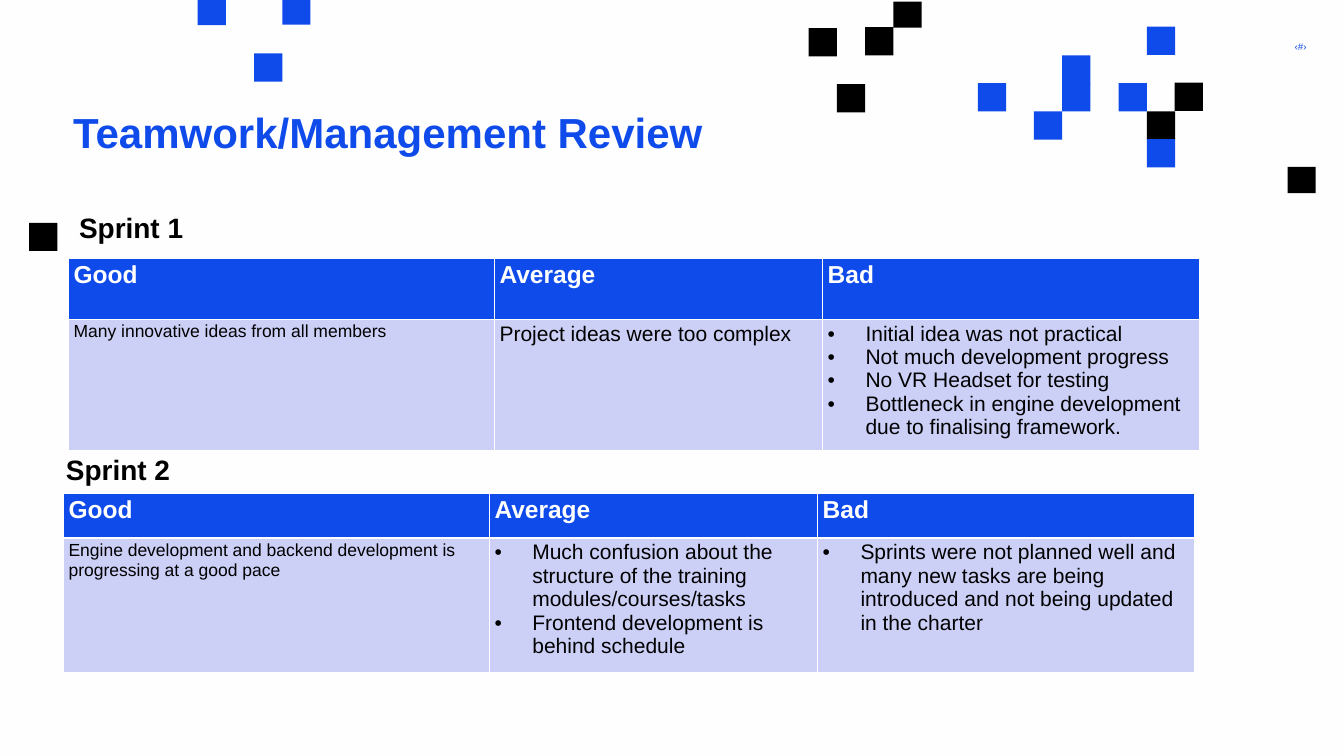
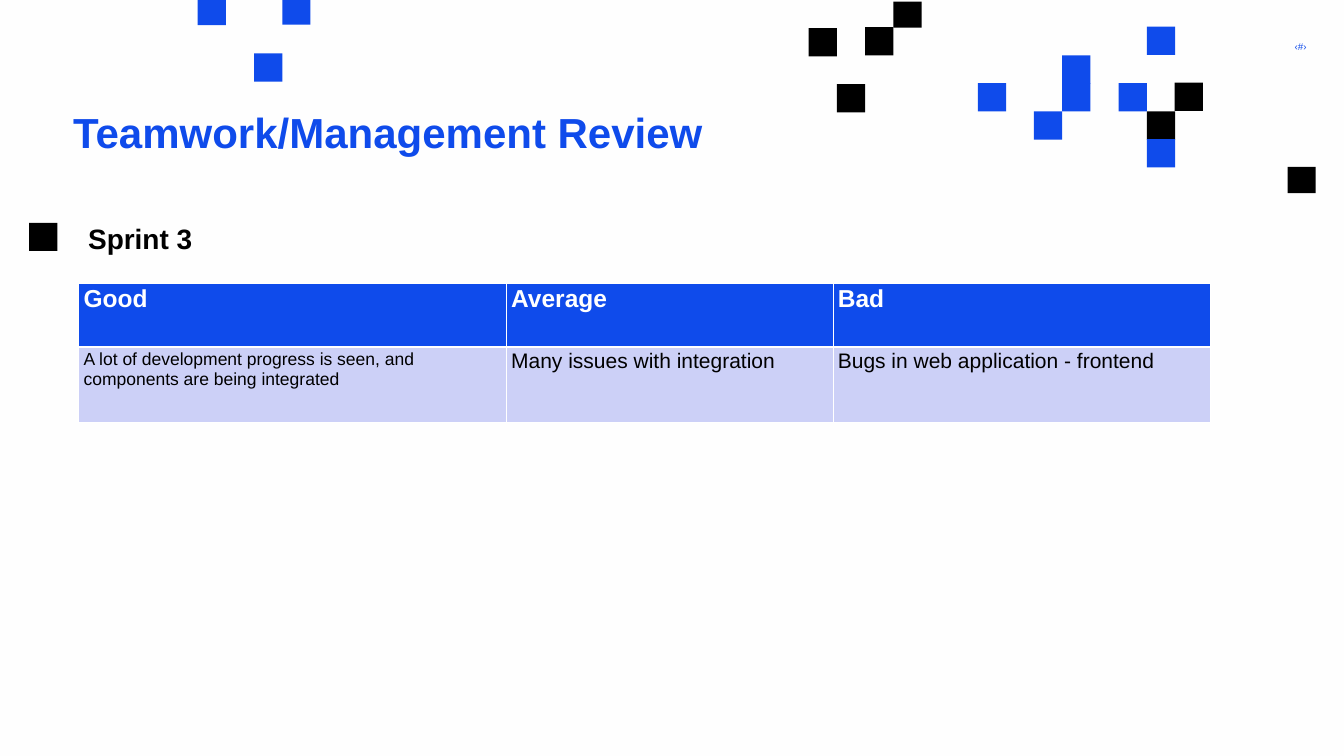
from lxml import etree
from pptx import Presentation
from pptx import util as u
from pptx.dml.color import RGBColor
from pptx.enum import shapes, text
from pptx.oxml.ns import qn

COLORS = {"blue": "0F4BEB", "black": "000000", "white": "FFFFFF",
          "paper": "FEFEFE", "lilac": "CCD0F7"}
TITLE = "Teamwork/Management Review"
HEADINGS = ["Good", "Average", "Bad"]
BODY_SIZES = [25, 30, 30]
SIDE = 0.56
SQUARES = [
    ("blue", 5.6, 0, 0.49), ("blue", 3.92, 0, 0.5), ("blue", 5.04, 1.06, SIDE),
    ("black", 0.58, 4.42, SIDE), ("black", 17.72, 0.03, 0.52),
    ("blue", 22.75, 0.53, SIDE), ("black", 17.16, 0.54, SIDE),
    ("black", 16.04, 0.56, SIDE), ("blue", 21.07, 1.1, SIDE),
    ("black", 23.3, 1.64, SIDE), ("blue", 22.19, 1.65, SIDE),
    ("blue", 21.07, 1.65, SIDE), ("blue", 19.4, 1.65, SIDE),
    ("black", 16.6, 1.67, SIDE), ("black", 22.75, 2.21, SIDE),
    ("blue", 20.51, 2.21, SIDE), ("blue", 22.75, 2.76, SIDE),
    ("black", 25.54, 3.31, 0.52),
]
PAGES = [
    [
        {"label": "Sprint 1", "label_at": (1.47, 4.12), "table_at": (1.36, 5.13),
         "columns": [8.45, 6.51, 7.48], "rows": [1.21, 2.42],
         "cells": ["Many innovative ideas from all members",
                   "Project ideas were too complex",
                   ["Initial idea was not practical",
                    "Not much development progress",
                    "No VR Headset for testing",
                    "Bottleneck in engine development due to finalising framework."]]},
        {"label": "Sprint 2", "label_at": (1.21, 8.92), "table_at": (1.26, 9.79),
         "columns": [8.45, 6.51, 7.48], "rows": [0.89, 2.65],
         "cells": ["Engine development and backend development is progressing at a good pace",
                   ["Much confusion about the structure of the training modules/courses/tasks",
                    "Frontend development is behind schedule"],
                   ["Sprints were not planned well and many new tasks are being "
                    "introduced and not being updated in the charter"]]},
    ],
    [
        {"label": "Sprint 3", "label_at": (1.65, 4.35), "table_at": (1.56, 5.62),
         "columns": [8.48, 6.48, 7.48], "rows": [1.27, 1.48],
         "cells": ["A lot of development progress is seen, and components are being integrated",
                   "Many issues with integration",
                   "Bugs in web application - frontend"]},
    ],
]


def style(paragraph, size, color, bold=False):
    font = paragraph.font
    font.name, font.size, font.bold = "Arial", u.Pt(size), bold
    font.color.rgb = RGBColor.from_string(COLORS[color])


def fill_cell(cell, content, size, color, fill, bold, bottom_width):
    cell.fill.solid()
    cell.fill.fore_color.rgb = RGBColor.from_string(COLORS[fill])
    properties = cell._tc.get_or_add_tcPr()
    for index, edge in enumerate("LRTB"):
        line = etree.Element(qn(f"a:ln{edge}"), w=str(u.Pt(bottom_width if edge == "B" else 1)))
        solid = etree.SubElement(line, qn("a:solidFill"))
        etree.SubElement(solid, qn("a:srgbClr"), val=COLORS["white"])
        properties.insert(index, line)
    bulleted = isinstance(content, list)
    lines = content if bulleted else [content]
    cell.text = "\n".join(lines)
    for paragraph in cell.text_frame.paragraphs:
        if bulleted:
            settings = paragraph._p.get_or_add_pPr()
            settings.set("marL", str(u.Inches(0.75)))
            settings.set("indent", str(u.Inches(-0.75)))
            bullet_color = etree.SubElement(settings, qn("a:buClr"))
            etree.SubElement(bullet_color, qn("a:srgbClr"), val=COLORS["black"])
            etree.SubElement(settings, qn("a:buFont"), typeface="Arial")
            etree.SubElement(settings, qn("a:buChar"), char="•")
        style(paragraph, size, color, bold)


deck = Presentation()
deck.slide_width, deck.slide_height = u.Inches(26.66), u.Inches(15)

for sprints in PAGES:
    page = deck.slides.add_slide(deck.slide_layouts[5])
    page.background.fill.solid()
    page.background.fill.fore_color.rgb = RGBColor.from_string(COLORS["paper"])

    for color, left, top, height in SQUARES:
        square = page.shapes.add_shape(shapes.MSO_SHAPE.RECTANGLE, u.Inches(left),
                                       u.Inches(top), u.Inches(SIDE), u.Inches(height))
        square.shadow.inherit = False
        square.fill.solid()
        square.fill.fore_color.rgb = RGBColor.from_string(COLORS[color])
        square.line.fill.background()

    number = page.shapes.add_textbox(u.Inches(23.36), u.Inches(0.81),
                                     u.Inches(2.56), u.Inches(0.24))
    frame = number.text_frame
    frame.word_wrap = True
    frame.margin_left = frame.margin_right = frame.margin_top = frame.margin_bottom = 0
    frame.text = "‹#›"
    frame.paragraphs[0].alignment = text.PP_ALIGN.RIGHT
    style(frame.paragraphs[0], 14, "blue")

    title = page.shapes.title
    title.left, title.top = u.Inches(1.35), u.Inches(1.92)
    title.width, title.height = u.Inches(17.09), u.Inches(2.67)
    frame = title.text_frame
    frame.text = TITLE
    frame.word_wrap = True
    frame.auto_size = text.MSO_AUTO_SIZE.NONE
    frame.vertical_anchor = text.MSO_ANCHOR.TOP
    frame.margin_left = frame.margin_right = u.Inches(0.1)
    frame.margin_top = frame.margin_bottom = u.Inches(0.1)
    heading = frame.paragraphs[0]
    heading.alignment = text.PP_ALIGN.LEFT
    heading.line_spacing = 1.1
    style(heading, 60, "blue", True)

    for sprint in sprints:
        left, top = sprint["table_at"]
        graphic = page.shapes.add_table(2, 3, u.Inches(left), u.Inches(top),
                                        u.Inches(sum(sprint["columns"])),
                                        u.Inches(sum(sprint["rows"])))
        table = graphic.table
        table.horz_banding = False
        for row, height in zip(table.rows, sprint["rows"]):
            row.height = u.Inches(height)
        for index, width in enumerate(sprint["columns"]):
            table.columns[index].width = u.Inches(width)
            fill_cell(table.cell(0, index), HEADINGS[index], 35, "white", "blue", True, 3)
            fill_cell(table.cell(1, index), sprint["cells"][index], BODY_SIZES[index],
                      "black", "lilac", False, 1)

        left, top = sprint["label_at"]
        label = page.shapes.add_textbox(u.Inches(left), u.Inches(top),
                                        u.Inches(3), u.Inches(0.77))
        label.text_frame.word_wrap = True
        label.text_frame.text = sprint["label"]
        style(label.text_frame.paragraphs[0], 40, "black", True)

deck.save("out.pptx")
